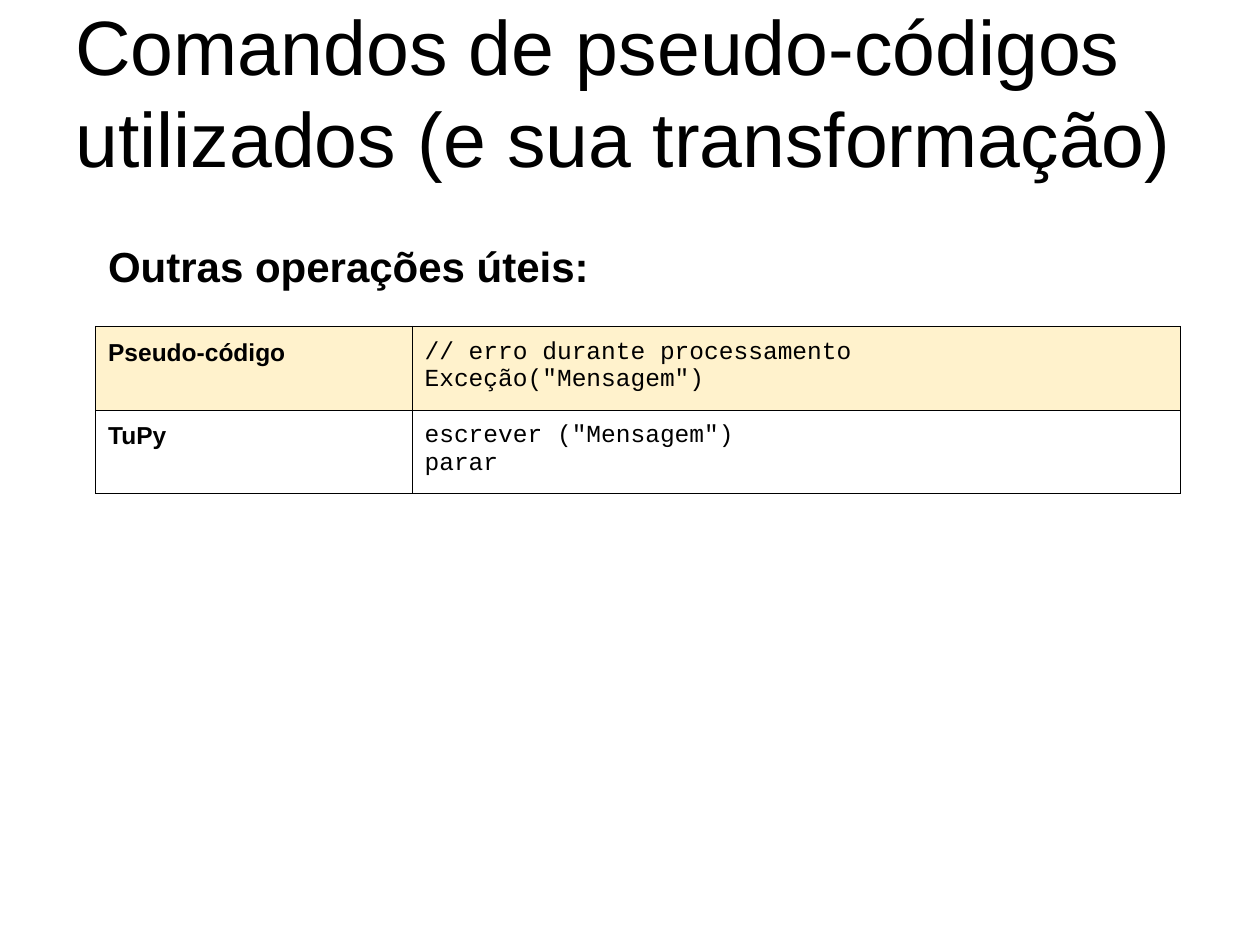
from pptx import Presentation
from pptx.dml.color import RGBColor
from pptx.enum.text import MSO_ANCHOR, MSO_AUTO_SIZE, PP_ALIGN
from pptx.oxml import parse_xml
from pptx.oxml.ns import nsdecls
from pptx.util import Cm, Pt

BLACK = RGBColor(0x00, 0x00, 0x00)
CREAM = RGBColor(0xFF, 0xF2, 0xCC)
PADDING = Cm(0.25)
LEFT = Cm(1.93)
COLUMN_WIDTHS = (Cm(6.38), Cm(15.49))
ROW_HEIGHT = Cm(1.63)

COMMANDS = [
    ("Pseudo-código", '// erro durante processamento\nExceção("Mensagem")', CREAM),
    ("TuPy", 'escrever ("Mensagem")\nparar', None),
]


def write(frame, text, *, size, font="Arial", bold=False, spacing=1.0):
    """Fill a text frame, one paragraph for each line of text."""
    frame.word_wrap = True
    frame.text = text
    for paragraph in frame.paragraphs:
        paragraph.alignment = PP_ALIGN.LEFT
        paragraph.line_spacing = spacing
        for run in paragraph.runs:
            run.font.name = font
            run.font.size = Pt(size)
            run.font.bold = bold
            run.font.color.rgb = BLACK


def set_padding(holder):
    holder.margin_left = holder.margin_right = PADDING
    holder.margin_top = holder.margin_bottom = PADDING


def set_borders(cell):
    properties = cell._tc.get_or_add_tcPr()
    for position, side in enumerate(("lnL", "lnR", "lnT", "lnB")):
        properties.insert(position, parse_xml(
            f'<a:{side} {nsdecls("a")} w="{Pt(0.75)}"><a:solidFill>'
            f'<a:srgbClr val="{BLACK}"/></a:solidFill></a:{side}>'))


def place_title(slide, text):
    title = slide.shapes.title
    title.left, title.top = Cm(1.27), Cm(0.76)
    title.width, title.height = Cm(22.86), Cm(3.18)
    frame = title.text_frame
    frame.auto_size = MSO_AUTO_SIZE.NONE
    frame.vertical_anchor = MSO_ANCHOR.BOTTOM
    set_padding(frame)
    write(frame, text, size=44)


def add_subtitle(slide, text):
    frame = slide.shapes.add_textbox(LEFT, Cm(4.45), Cm(20.12), Cm(1.6)).text_frame
    set_padding(frame)
    write(frame, text, size=24, bold=True, spacing=1.15)


def add_command_table(slide, commands):
    table = slide.shapes.add_table(
        len(commands), len(COLUMN_WIDTHS), LEFT, Cm(6.58),
        sum(COLUMN_WIDTHS), ROW_HEIGHT * len(commands)).table
    table.first_row = table.horz_banding = False
    for column, width in zip(table.columns, COLUMN_WIDTHS):
        column.width = width
    for row, (language, code, fill) in zip(table.rows, commands):
        language_cell, code_cell = row.cells
        write(language_cell.text_frame, language, size=14, bold=True)
        write(code_cell.text_frame, code, size=14, font="Courier New")
        for cell in row.cells:
            set_padding(cell)
            if fill is None:
                cell.fill.background()
            else:
                cell.fill.solid()
                cell.fill.fore_color.rgb = fill
            set_borders(cell)


def main():
    presentation = Presentation()
    presentation.slide_width, presentation.slide_height = Cm(25.4), Cm(19.05)
    slide = presentation.slides.add_slide(presentation.slide_layouts[5])
    place_title(slide, "Comandos de pseudo-códigos utilizados (e sua transformação)")
    add_subtitle(slide, "Outras operações úteis:")
    add_command_table(slide, COMMANDS)
    presentation.save("out.pptx")


if __name__ == "__main__":
    main()
